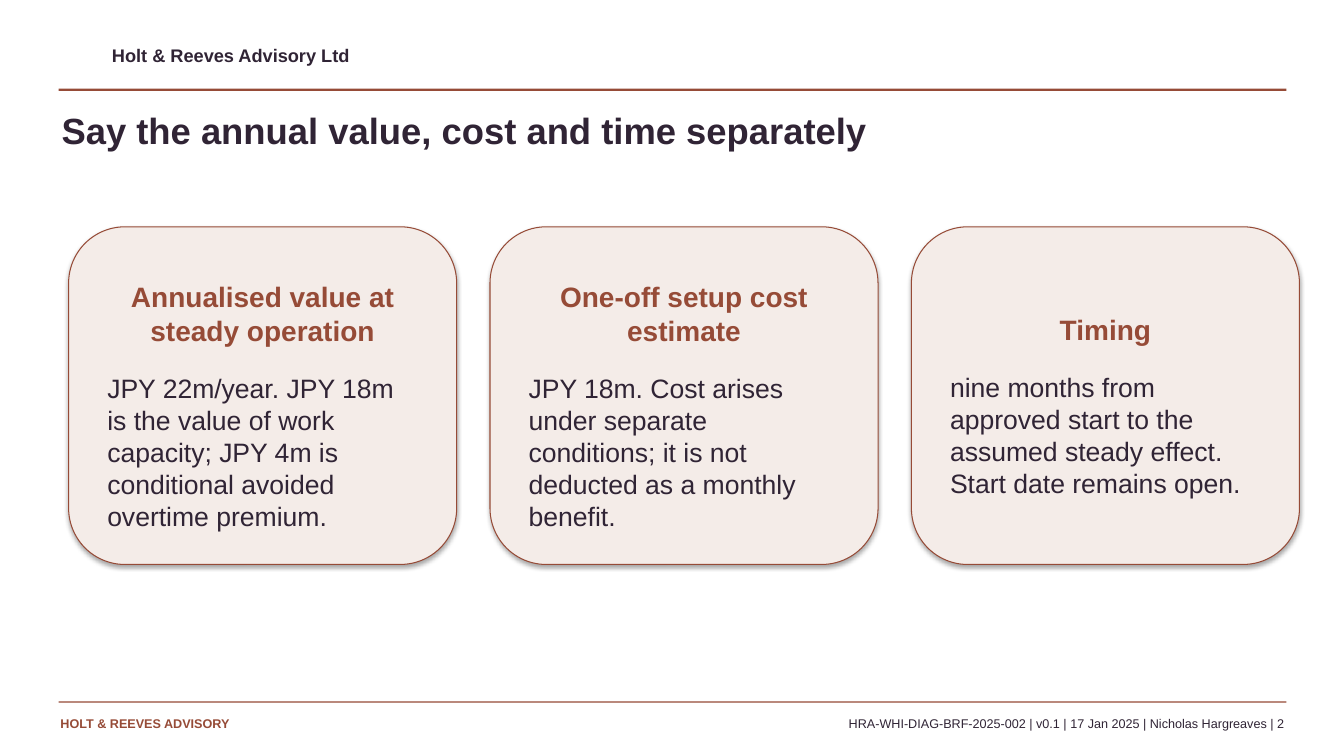
"""Build the slide that separates annual value, cost and timing."""
from dataclasses import dataclass

from pptx import Presentation
from pptx.dml.color import RGBColor
from pptx.enum.shapes import MSO_SHAPE
from pptx.enum.text import MSO_ANCHOR, PP_ALIGN
from pptx.util import Pt

RECT, ROUNDED = MSO_SHAPE.RECTANGLE, MSO_SHAPE.ROUNDED_RECTANGLE
LEFT, CENTER, RIGHT = PP_ALIGN.LEFT, PP_ALIGN.CENTER, PP_ALIGN.RIGHT
TOP, MIDDLE = MSO_ANCHOR.TOP, MSO_ANCHOR.MIDDLE
COLORS = {"rust": "964B37", "ink": "302435", "card": "F4ECE8"}
FONT = "Arial"
RULE_LEFT, RULE_WIDTH = 41.8, 877
CARD_LEFT, CARD_TOP, CARD_PITCH = 49, 162, 301
CARD_WIDTH, CARD_HEIGHT = 277.2, 241.2


@dataclass
class Rule:
    """A horizontal rule across the slide."""
    top: float
    height: float


@dataclass
class Label:
    """A single line of text in its own box."""
    text: str
    left: float
    top: float
    width: float
    height: float
    size: float
    color: str = "ink"
    bold: bool = True
    align: int = LEFT


@dataclass
class Card:
    """A heading with its explanation."""
    heading: str
    body: str


RULES = [Rule(63.4, 1.6), Rule(501, 1)]
LABELS = [
    Label("Holt & Reeves Advisory Ltd", 80, 31.7, 432, 19.4, 13),
    Label("HOLT & REEVES ADVISORY", 43.2, 511.2, 244.8, 18, 9, "rust"),
    Label("Say the annual value, cost and time separately", 44, 77, 864, 56, 26),
    Label("HRA-WHI-DIAG-BRF-2025-002 | v0.1 | 17 Jan 2025 | Nicholas Hargreaves | 2",
          296.6, 511.2, 620.6, 15.8, 9, bold=False, align=RIGHT),
]
CARDS = [
    Card("Annualised value at steady operation",
         "JPY 22m/year. JPY 18m is the value of work capacity; "
         "JPY 4m is conditional avoided overtime premium."),
    Card("One-off setup cost estimate",
         "JPY 18m. Cost arises under separate conditions; "
         "it is not deducted as a monthly benefit."),
    Card("Timing",
         "nine months from approved start to the assumed steady effect. "
         "Start date remains open."),
]


def rgb(name: str) -> RGBColor:
    """Return a named colour."""
    return RGBColor.from_string(COLORS[name])


def set_frame(tf, anchor: int, left: float = 0, top: float = 0,
              right: float = 0, bottom: float = 0) -> None:
    """Set wrapping, anchor and margins of a text frame."""
    tf.word_wrap = True
    tf.vertical_anchor = anchor
    tf.margin_left, tf.margin_top = Pt(left), Pt(top)
    tf.margin_right, tf.margin_bottom = Pt(right), Pt(bottom)


def write(p, text: str, size: float, color: str, bold: bool, align: int) -> None:
    """Add one formatted run to a paragraph."""
    p.alignment = align
    r = p.add_run()
    r.text = text
    r.font.name, r.font.size, r.font.bold = FONT, Pt(size), bold
    r.font.color.rgb = rgb(color)


def draw_rule(s, rule: Rule) -> None:
    """Draw a horizontal rule."""
    sp = s.shapes.add_shape(RECT, Pt(RULE_LEFT), Pt(rule.top),
                            Pt(RULE_WIDTH), Pt(rule.height))
    sp.shadow.inherit = False
    sp.fill.solid()
    sp.fill.fore_color.rgb = rgb("rust")
    sp.line.fill.background()


def draw_label(s, label: Label) -> None:
    """Draw a text box."""
    sp = s.shapes.add_textbox(Pt(label.left), Pt(label.top),
                              Pt(label.width), Pt(label.height))
    set_frame(sp.text_frame, TOP)
    write(sp.text_frame.paragraphs[0], label.text, label.size,
          label.color, label.bold, label.align)


def draw_card(s, card: Card, left: float) -> None:
    """Draw a rounded card that keeps the soft theme shadow."""
    sp = s.shapes.add_shape(ROUNDED, Pt(left), Pt(CARD_TOP),
                            Pt(CARD_WIDTH), Pt(CARD_HEIGHT))
    sp.fill.solid()
    sp.fill.fore_color.rgb = rgb("card")
    sp.line.color.rgb = rgb("rust")
    sp.line.width = Pt(0.75)
    tf = sp.text_frame
    set_frame(tf, MIDDLE, 15.84, 18, 15.84, 3.6)
    p = tf.paragraphs[0]
    p.space_after = Pt(18)
    write(p, card.heading, 20, "rust", True, CENTER)
    write(tf.add_paragraph(), card.body, 19, "ink", False, LEFT)


def main() -> None:
    """Build and save the slide."""
    prs = Presentation()
    prs.slide_width, prs.slide_height = Pt(960), Pt(540)
    s = prs.slides.add_slide(prs.slide_layouts[6])
    for rule in RULES:
        draw_rule(s, rule)
    for label in LABELS:
        draw_label(s, label)
    for i, card in enumerate(CARDS):
        draw_card(s, card, CARD_LEFT + i * CARD_PITCH)
    prs.save("out.pptx")


if __name__ == "__main__":
    main()
